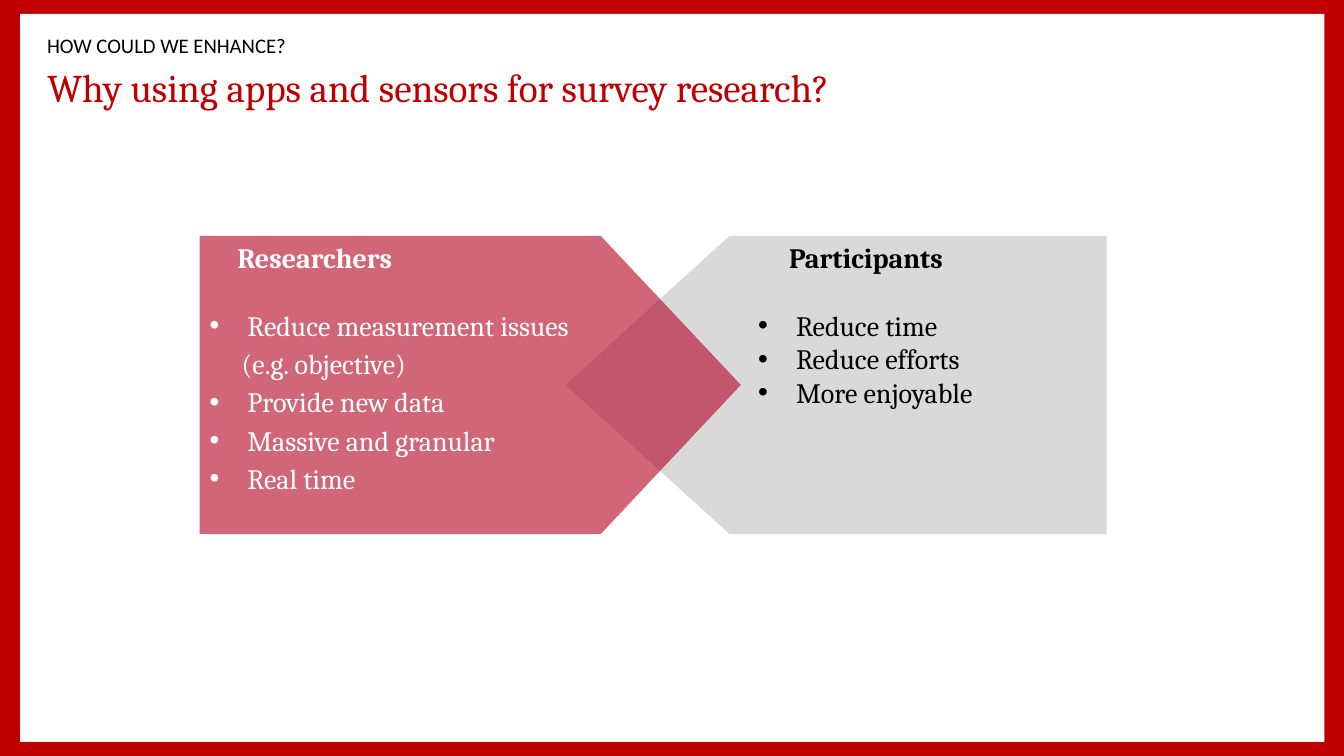
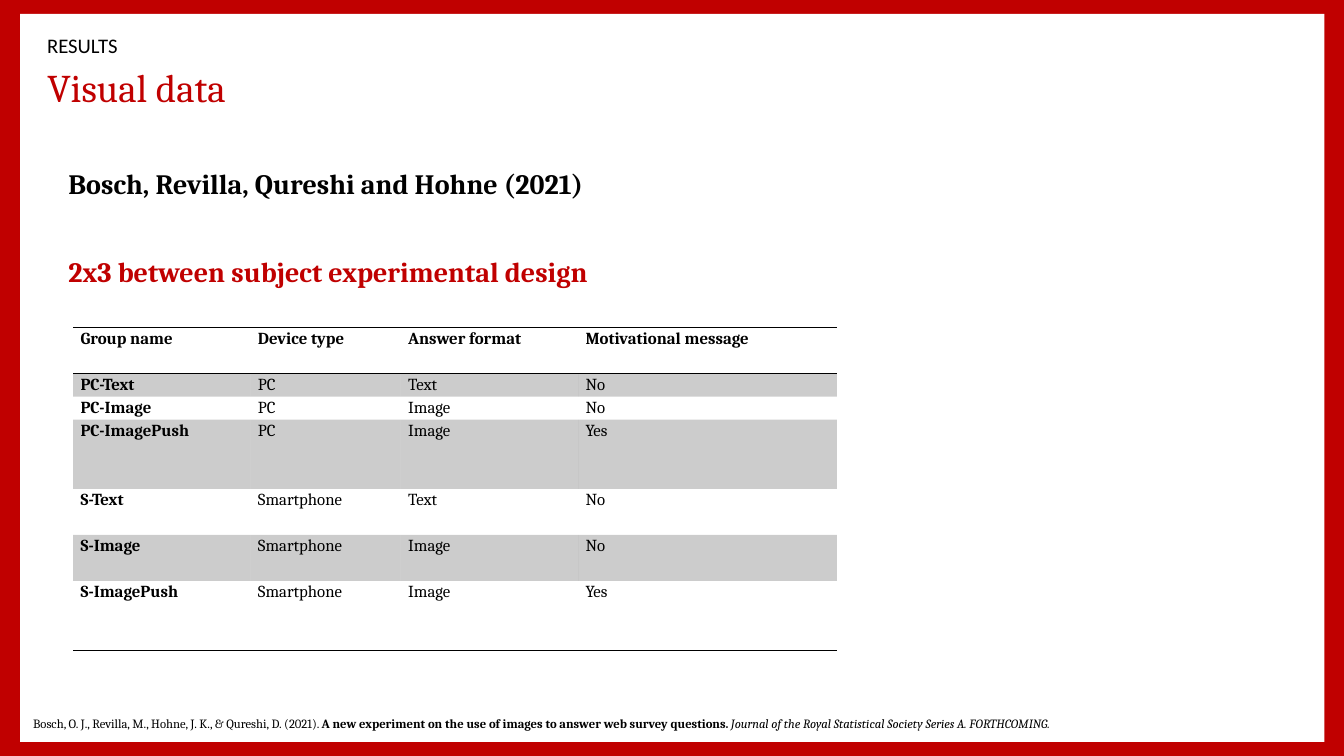
import pptx
import pptx.util
import pptx.dml.color
import pptx.enum.shapes
import pptx.enum.text
import pptx.oxml
import pptx.oxml.ns

Pt = pptx.util.Pt
RGB = pptx.dml.color.RGBColor.from_string
SHAPE = pptx.enum.shapes.MSO_SHAPE
ALIGN = pptx.enum.text.PP_ALIGN
ANCHOR = pptx.enum.text.MSO_ANCHOR
qn = pptx.oxml.ns.qn
NS = pptx.oxml.ns.nsdecls("a")

COLORS = {"red": "C00000", "crimson": "B30020", "gray": "D9D9D9",
          "black": "000000", "white": "FFFFFF"}
NO_TABLE_STYLE = "{2D5ABB26-0587-4C30-8999-92F81FD0307C}"


class Deck:
    def __init__(self):
        self.prs = pptx.Presentation()
        self.prs.slide_width, self.prs.slide_height = Pt(960), Pt(540)
        self.layout = self.prs.slide_layouts[5]
        self.s = None

    def slide(self, title, kicker):
        first = self.s is None
        self.s = self.prs.slides.add_slide(self.layout)
        if first:
            self.frame()
        sp = self.s.shapes.title
        sp.left, sp.top, sp.width, sp.height = Pt(26.6), Pt(46.8), Pt(840), Pt(34)
        tf = sp.text_frame
        tf.word_wrap = True
        tf.vertical_anchor = ANCHOR.MIDDLE
        p = tf.paragraphs[0]
        self.para(p, title, 28, "red", line=0.9)
        p.alignment = ALIGN.LEFT
        tf = self.box(26.6, 23, 812, 22)
        tf.vertical_anchor = ANCHOR.MIDDLE
        self.para(tf.paragraphs[0], kicker, 14.8, font="Calibri", line=0.8)

    def frame(self):
        rects = [self.shape(SHAPE.RECTANGLE, 0, 0, 960, 540, "red"),
                 self.shape(SHAPE.RECTANGLE, 14.4, 10, 931.6, 520, "white")]
        for i, sp in enumerate(rects):
            sp._element.nvSpPr.cNvPr.set("id", str(101 + i))
            self.layout.shapes._spTree.insert(2 + i, sp._element)

    def fill(self, fill, color, alpha=None):
        fill.solid()
        fill.fore_color.rgb = RGB(COLORS[color])
        if alpha:
            clr = fill._xPr.find(qn("a:solidFill"))[0]
            clr.append(pptx.oxml.parse_xml(f'<a:alpha {NS} val="{alpha * 1000}"/>'))

    def shape(self, kind, x, y, w, h, color, alpha=None):
        sp = self.s.shapes.add_shape(kind, Pt(x), Pt(y), Pt(w), Pt(h))
        sp.shadow.inherit = False
        sp.line.fill.background()
        self.fill(sp.fill, color, alpha)
        return sp

    def box(self, x, y, w, h):
        tf = self.s.shapes.add_textbox(Pt(x), Pt(y), Pt(w), Pt(h)).text_frame
        tf.word_wrap = True
        return tf

    def para(self, p, text, size, color="black", bold=False, italic=False,
             font="Cambria", line=None, before=None, after=None):
        p.text = text
        p.line_spacing = line
        if before is not None:
            p.space_before = Pt(before)
        if after is not None:
            p.space_after = Pt(after)
        for r in p.runs:
            self.style(r, size, color, bold, italic, font)

    def style(self, r, size, color="black", bold=False, italic=False, font="Cambria"):
        r.font.size, r.font.name = Pt(size), font
        r.font.bold, r.font.italic = bold, italic
        r.font.color.rgb = RGB(COLORS[color])

    def indent(self, p, left, bullet=False):
        pPr = p._p.get_or_add_pPr()
        pPr.set("marL", str(Pt(left)))
        pPr.set("indent", str(Pt(-27 if bullet else 0)))
        if bullet:
            pPr.append(pptx.oxml.parse_xml(f'<a:buFont {NS} typeface="Arial"/>'))
            pPr.append(pptx.oxml.parse_xml(f'<a:buChar {NS} char="•"/>'))

    def plate(self, x, adj, fill, color, heading, heading_left, items,
              alpha=None, flip=False, after=0):
        sp = self.shape(SHAPE.PENTAGON, x, 168.5, 386.6, 213, fill, alpha)
        sp.adjustments[0] = adj
        if flip:
            sp._element.spPr.xfrm.set("flipH", "1")
        tf = sp.text_frame
        tf.word_wrap = True
        tf.vertical_anchor = ANCHOR.TOP
        p = tf.paragraphs[0]
        p.alignment = ALIGN.LEFT
        self.indent(p, heading_left)
        self.para(p, heading, 20, color, bold=True, after=24)
        for text, left, bullet in items:
            p = tf.add_paragraph()
            p.alignment = ALIGN.LEFT
            self.indent(p, left, bullet)
            self.para(p, text, 20, color, after=after)

    def border(self, cell, sides):
        tcPr = cell._tc.get_or_add_tcPr()
        for i, side in enumerate(sides):
            tcPr.insert(i, pptx.oxml.parse_xml(
                f'<a:ln{side} {NS} w="{Pt(1)}"><a:solidFill>'
                f'<a:srgbClr val="{COLORS["black"]}"/></a:solidFill></a:ln{side}>'))

    def table(self, x, y, widths, units, unit, rows):
        gf = self.s.shapes.add_table(len(rows), len(widths), Pt(x), Pt(y),
                                     Pt(sum(widths)), Pt(sum(units) * unit))
        tbl = gf.table
        tbl.first_row = tbl.horz_banding = False
        tbl._tbl.tblPr.find(qn("a:tableStyleId")).text = NO_TABLE_STYLE
        for col, width in zip(tbl.columns, widths):
            col.width = Pt(width)
        for i, values in enumerate(rows):
            tbl.rows[i].height = Pt(units[i] * unit)
            for j, value in enumerate(values):
                cell = tbl.cell(i, j)
                cell.margin_left = cell.margin_right = Pt(5.4)
                cell.margin_top = cell.margin_bottom = 0
                p = cell.text_frame.paragraphs[0]
                self.para(p, value, 12, bold=i == 0 or j == 0, line=1.07)
                p.alignment = ALIGN.JUSTIFY
                if i % 2:
                    self.fill(cell.fill, "black", 20)
                else:
                    cell.fill.background()
                if i == 0:
                    self.border(cell, "TB")
                elif i == len(rows) - 1:
                    self.border(cell, "B")

    def citation(self, authors, title, journal):
        p = self.box(16.6, 507.6, 876, 18).paragraphs[0]
        self.para(p, authors, 9)
        for text, look in ((title, {"bold": True}), (journal, {"italic": True})):
            r = p.add_run()
            r.text = text
            self.style(r, 9, **look)


def main():
    deck = Deck()

    deck.slide("Why using apps and sensors for survey research?", "HOW COULD WE ENHANCE?")
    deck.plate(404, 0.55, "gray", "black", "Participants", 94,
               [(text, 99, True) for text in
                ("Reduce time", "Reduce efforts", "More enjoyable")], flip=True)
    deck.plate(142.6, 0.47, "crimson", "white", "Researchers", 20,
               [("Reduce measurement issues", 27, True),
                ("(e.g. objective)", 23, False),
                ("Provide new data", 27, True),
                ("Massive and granular", 27, True),
                ("Real time", 27, True)], alpha=60, after=3.4)

    deck.slide("Visual data", "RESULTS")
    tf = deck.box(41.8, 118, 528, 100)
    deck.para(tf.paragraphs[0], "Bosch, Revilla, Qureshi and Hohne (2021)", 20,
              bold=True, line=0.9)
    deck.para(tf.add_paragraph(), "2x3 between subject experimental design", 20,
              "red", bold=True, line=0.9, before=41.6)
    deck.table(52.2, 234, [126.7, 107.3, 126.7, 185], [2, 1, 1, 3, 2, 2, 3], 16.46, [
        ("Group name", "Device type", "Answer format", "Motivational message"),
        ("PC-Text", "PC", "Text", "No"),
        ("PC-Image", "PC", "Image", "No"),
        ("PC-ImagePush", "PC", "Image", "Yes"),
        ("S-Text", "Smartphone", "Text", "No"),
        ("S-Image", "Smartphone", "Image", "No"),
        ("S-ImagePush", "Smartphone", "Image", "Yes")])
    deck.citation("Bosch, O. J., Revilla, M., Hohne, J. K., & Qureshi, D. (2021). ",
                  "A new experiment on the use of images to answer web survey questions. ",
                  "Journal of the Royal Statistical Society Series A. FORTHCOMING.")

    deck.prs.save("out.pptx")


if __name__ == "__main__":
    main()
